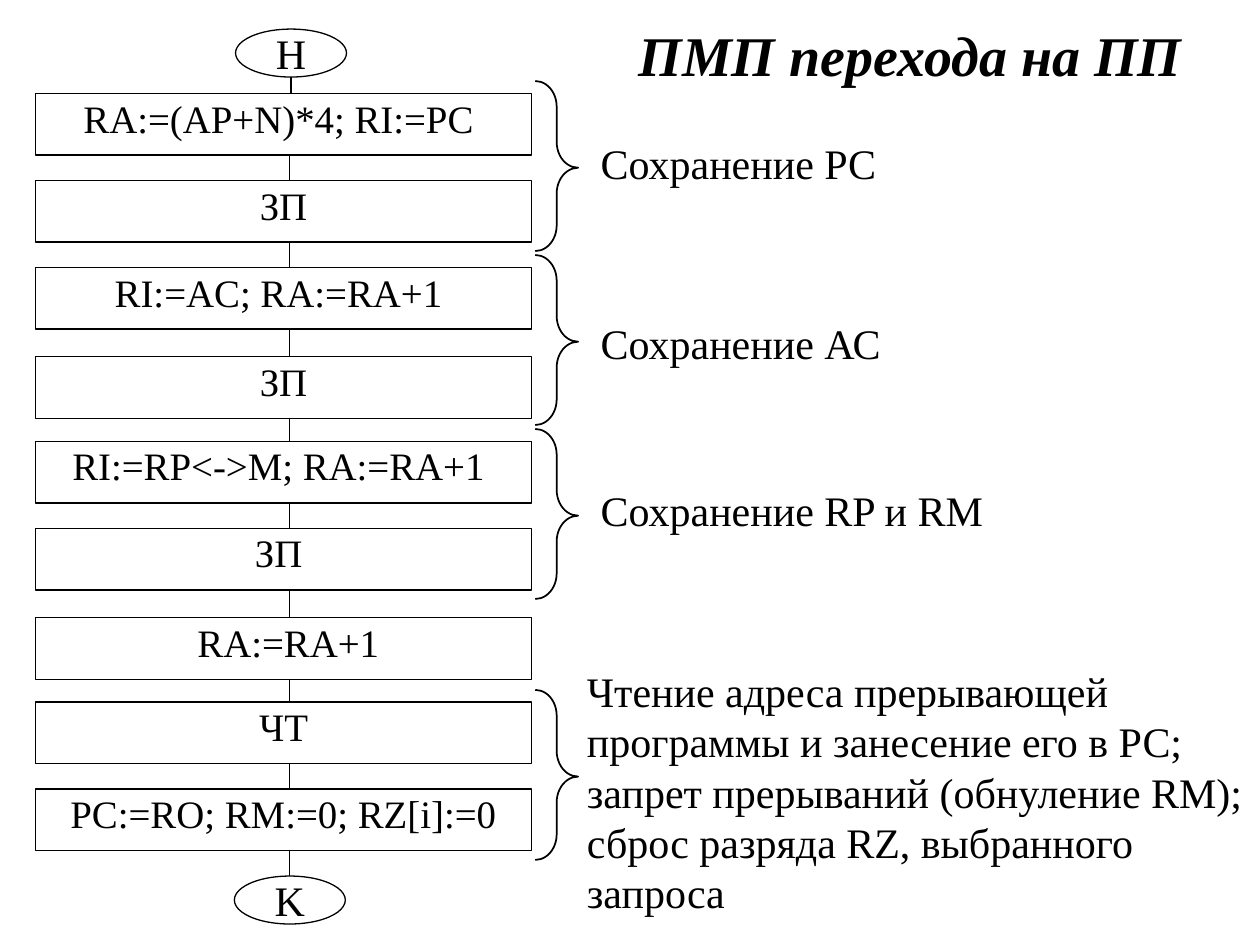
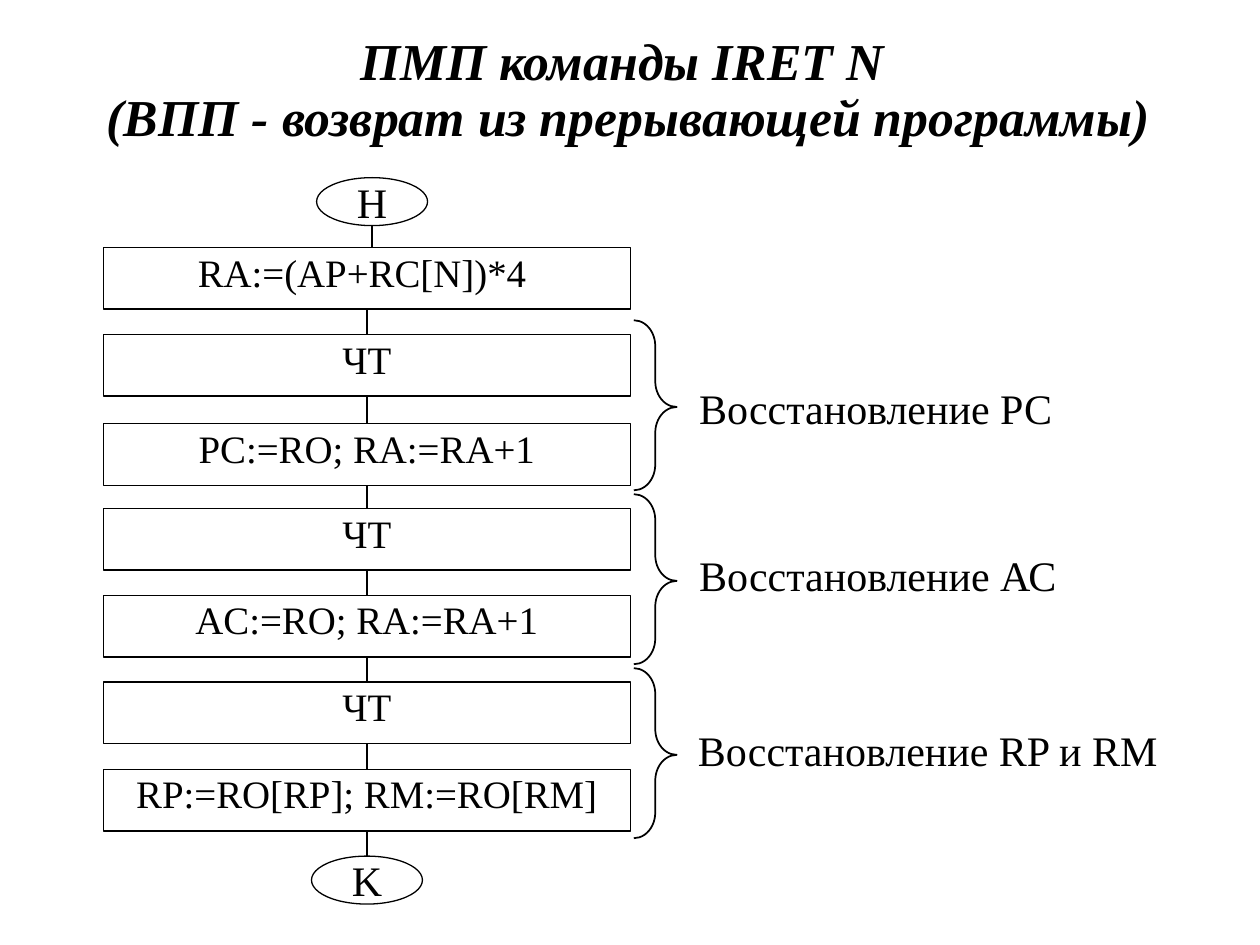
from pptx import Presentation
from pptx.dml.color import RGBColor
from pptx.enum.shapes import MSO_CONNECTOR, MSO_SHAPE
from pptx.enum.text import MSO_ANCHOR, PP_ALIGN
from pptx.oxml.ns import qn
from pptx.util import Pt
from lxml import etree

COLORS = {"ink": "000000", "paper": "FFFFFF"}
FONT = "Times New Roman"
STEP_HEIGHT = 35.3
STEP_PITCH = 49.7
OVAL_WIDTH = 63.4
OVAL_HEIGHT = 27.4
BRACE_WIDTH = 24.5
BRACE_HEIGHT = 97.2
INK = RGBColor.from_string(COLORS["ink"])

flowcharts = [
    {
        "title": "ПМП перехода на ПП",
        "title_box": (353.5, 11.5, 333.4, 38.9),
        "title_format": {"size": 32},
        "left": 20.2, "top": 53.3, "width": 283.7,
        "axis": 165.6, "start_axis": 166.3, "start_top": 16.6,
        "steps": ["RA:=(AP+N)*4; RI:=PC ", "ЗП", "RI:=AC; RA:=RA+1 ", "ЗП",
                  "RI:=RP<->M; RA:=RA+1 ", "ЗП ", " RA:=RA+1", "ЧТ",
                  "PC:=RO; RM:=0; RZ[i]:=0"],
        "lowered_steps": [3, 6],
        "braced_steps": [0, 2, 4, 7], "brace_lift": 7,
        "labels": [
            ("Сохранение РС", (336.2, 74.9, 332, 36)),
            ("Сохранение АС", (336.2, 177.8, 332, 36)),
            ("Сохранение RP и RM", (336.2, 273.6, 332, 36)),
            ("Чтение адреса прерывающей программы и занесение его в РС;\n"
             "запрет прерываний (обнуление RM);\n"
             "сброс разряда RZ, выбранного запроса", (328.3, 376.6, 391.7, 155.5)),
        ],
    },
    {
        "title": "ПМП команды IRET N \v(ВПП - возврат из прерывающей программы)",
        "title_box": (18, 11.5, 682.6, 81.4),
        "title_format": {"size": 29.6, "spacing": 0.9},
        "left": 59.2, "top": 141.3, "width": 301,
        "axis": 209.7, "start_axis": 212.6, "start_top": 101.5,
        "steps": ["RA:=(AP+RC[N])*4 ", "ЧТ", "PC:=RO; RA:=RA+1", "ЧТ",
                  "AC:=RO; RA:=RA+1", "ЧТ", "RP:=RO[RP]; RM:=RO[RM]"],
        "lowered_steps": [2],
        "braced_steps": [1, 3, 5], "brace_lift": 8,
        "labels": [
            ("Восстановление РС", (392.4, 214.9, 294, 36)),
            ("Восстановление АС", (392.4, 310.3, 294, 36)),
            ("Восстановление RP и RM", (391.7, 410.4, 303, 46)),
        ],
    },
]


def write(text, shape, size=24, align=PP_ALIGN.CENTER, anchor=MSO_ANCHOR.TOP,
          spacing=None, emphasis=False, insets=(7.2, 3.6)):
    frame = shape.text_frame
    frame.word_wrap = True
    frame.vertical_anchor = anchor
    frame.margin_left = frame.margin_right = Pt(insets[0])
    frame.margin_top = frame.margin_bottom = Pt(insets[1])
    frame.text = text
    for paragraph in frame.paragraphs:
        paragraph.alignment = align
        paragraph.line_spacing = spacing
        for run in paragraph.runs:
            run.font.name = FONT
            run.font.size = Pt(size)
            run.font.bold = run.font.italic = emphasis
            run.font.color.rgb = INK


def add_outline(slide, kind, box, line_width=0.75):
    shape = slide.shapes.add_shape(kind, *map(Pt, box))
    shape.shadow.inherit = False
    shape.fill.background()
    shape.line.color.rgb = INK
    shape.line.width = Pt(line_width)
    return shape


presentation = Presentation()
presentation.slide_width = Pt(720)
presentation.slide_height = Pt(540)

for chart in flowcharts:
    slide = presentation.slides.add_slide(presentation.slide_layouts[6])
    slide.background.fill.solid()
    slide.background.fill.fore_color.rgb = RGBColor.from_string(COLORS["paper"])

    title = slide.shapes.add_textbox(*map(Pt, chart["title_box"]))
    write(chart["title"], title, anchor=MSO_ANCHOR.MIDDLE, emphasis=True,
          **chart["title_format"])

    left, top, width, axis = (chart[key] for key in ("left", "top", "width", "axis"))
    centered = abs(axis - left - width / 2) < 0.1
    end_top = top + len(chart["steps"]) * STEP_PITCH

    ovals = []
    for letter, center, oval_top in [("Н", chart["start_axis"], chart["start_top"]),
                                     ("K", axis, end_top)]:
        oval = add_outline(slide, MSO_SHAPE.OVAL,
                           (center - OVAL_WIDTH / 2, oval_top, OVAL_WIDTH, OVAL_HEIGHT))
        write(letter, oval, anchor=MSO_ANCHOR.MIDDLE, insets=(0, 0))
        ovals.append(oval)

    steps = []
    for index, text in enumerate(chart["steps"]):
        lowering = 1.4 if index in chart["lowered_steps"] else 0
        step = add_outline(slide, MSO_SHAPE.RECTANGLE,
                           (left, top + index * STEP_PITCH + lowering, width, STEP_HEIGHT))
        write(text, step, size=22.2, spacing=0.9)
        steps.append(step)

    nodes = [ovals[0], *steps, ovals[1]]
    for index, (upper, lower) in enumerate(zip(nodes, nodes[1:])):
        x = Pt(axis if index else chart["start_axis"])
        connector = slide.shapes.add_connector(
            MSO_CONNECTOR.STRAIGHT, x, upper.top + upper.height, x, lower.top)
        if centered and index:
            connector.begin_connect(upper, 2)
            connector.end_connect(lower, 0)
        connector.line.color.rgb = INK
        connector.line.width = Pt(0.75)
        etree.SubElement(connector._element.spPr, qn("a:effectLst"))

    for index in chart["braced_steps"]:
        brace = add_outline(slide, MSO_SHAPE.RIGHT_BRACE,
                            (left + width + 2,
                             top + index * STEP_PITCH - chart["brace_lift"],
                             BRACE_WIDTH, BRACE_HEIGHT), line_width=1)
        brace.adjustments[0] = 0.6
        brace.adjustments[1] = 0.51

    for text, box in chart["labels"]:
        label = slide.shapes.add_textbox(*map(Pt, box))
        write(text, label, align=PP_ALIGN.LEFT)

presentation.save("out.pptx")
